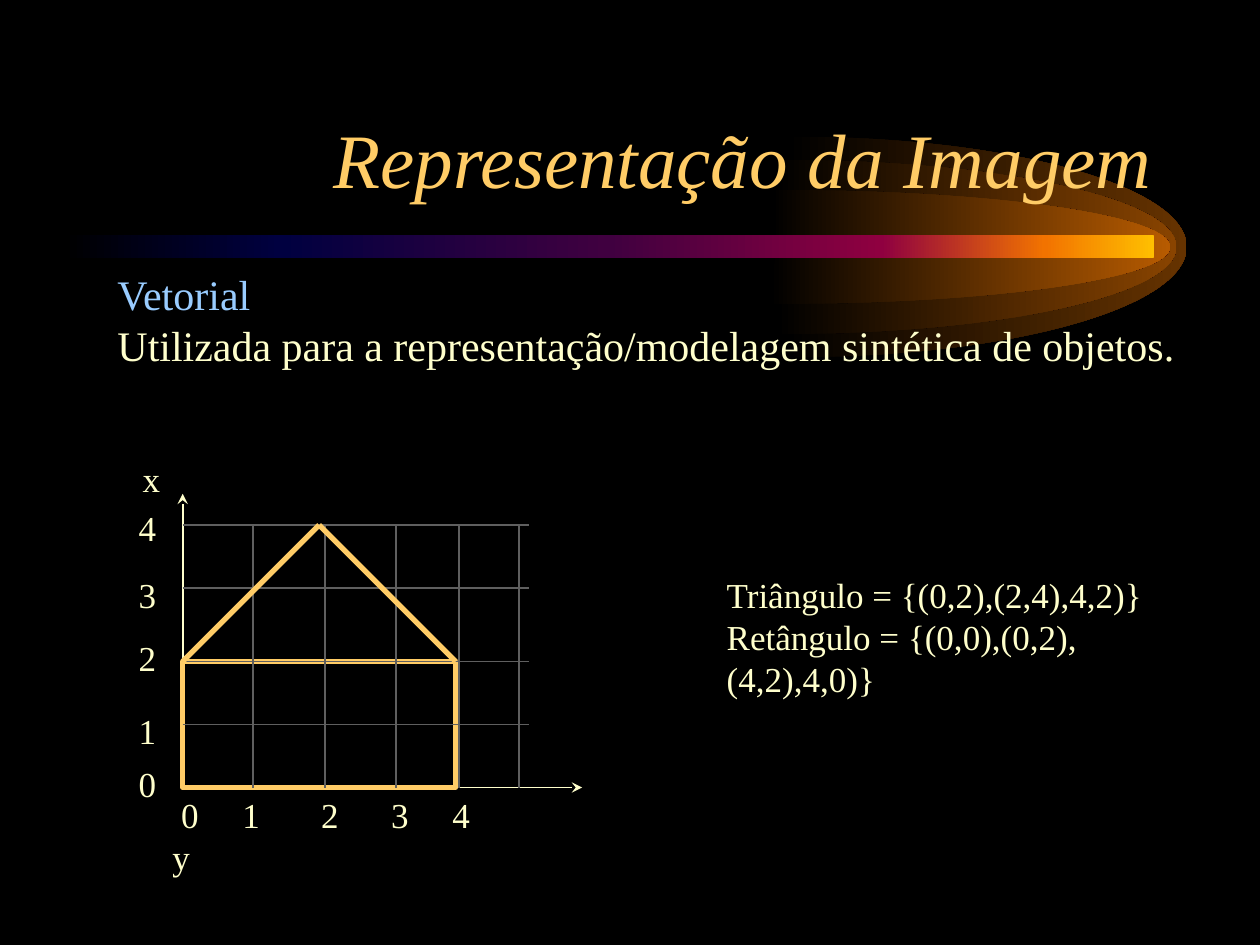
from typing import NamedTuple

from lxml.etree import SubElement
from pptx import Presentation
from pptx.dml.color import RGBColor
from pptx.enum.shapes import MSO_CONNECTOR, MSO_SHAPE
from pptx.enum.text import MSO_ANCHOR, PP_ALIGN
from pptx.oxml.ns import qn
from pptx.util import Pt

FONT = "Times New Roman"
CREAM, GOLD, SKY, GRAY = "FFFFCC", "FFCC66", "99CCFF", "5F5F5F"
AXIS_X, AXIS_Y = 104.4, 450
ROWS = (414, 378, 336, 300)
COLS = (144.6, 185.6, 226.4, 262.4, 296.6)
GRID_RIGHT = 302.4
EAVES, RIDGE = 378, 300
HOUSE_W = 156
KAPPA = 0.55  # control distance of a quarter ellipse


class Flare(NamedTuple):
    cx: float
    ry: float
    color: str


class Label(NamedTuple):
    text: str
    x: float
    y: float


FLARES = (
    Flare(452.9, 63, "663300"),
    Flare(447.1, 49.8, "894400"),
    Flare(443.5, 32.6, "B75B00"),
)
BAR_STOPS = ((0, "000000"), (20, "000040"), (50, "400040"),
             (75, "8F0040"), (90, "F27300"), (100, "FFBF00"))
LABELS = (
    Label("0", 96.4, 450),
    Label("1", 131.4, 450),
    Label("2", 176.4, 450),
    Label("3", 216.4, 450),
    Label("4", 251.4, 450),
    Label("y", 91.4, 474),
    Label("3", 72.2, 324),
    Label("0", 72.2, 432),
    Label("1", 72.2, 402),
    Label("2", 72.2, 360),
    Label("4", 72.2, 286),
    Label("x", 74.5, 258),
)


def rgb(color: str) -> RGBColor:
    return RGBColor.from_string(color)


def fill_gradient(sp, stops) -> None:
    """Fill left to right with (percent, colour) stops, without an outline."""
    sp.shadow.inherit = False
    sp.line.fill.background()
    sp.fill.gradient()
    sp.fill.gradient_angle = 0
    gs_list = sp.element.spPr.find(qn("a:gradFill")).find(qn("a:gsLst"))
    for gs in list(gs_list):
        gs_list.remove(gs)
    for percent, color in stops:
        gs = SubElement(gs_list, qn("a:gs"), pos=str(percent * 1000))
        SubElement(gs, qn("a:srgbClr"), val=color)


def curve_segment(segment, *controls: tuple[float, float]) -> None:
    """Turn a straight freeform segment into a cubic curve."""
    segment.tag = qn("a:cubicBezTo")
    for i, (x, y) in enumerate(controls):
        pt = segment.makeelement(qn("a:pt"), {"x": str(Pt(x)), "y": str(Pt(y))})
        segment.insert(i, pt)


def add_flare(s, flare: Flare) -> None:
    """Draw the right half of an ellipse centred on the bar."""
    cx, ry, color = flare
    cy, rx, tip = 141.1, 225.2, 3.6
    points = [(cx, cy - ry), (cx + rx, cy), (cx, cy + ry), (cx - tip, cy + ry), (cx, cy)]
    corners = [(Pt(x), Pt(y)) for x, y in points]
    fb = s.shapes.build_freeform(*corners[0])
    fb.add_line_segments(corners[1:], close=True)
    sp = fb.convert_to_shape()
    upper, lower = list(sp.element.spPr.iter(qn("a:lnTo")))[:2]
    bend_x, right, bend_y = tip + KAPPA * rx, tip + rx, KAPPA * ry
    curve_segment(upper, (bend_x, 0), (right, ry - bend_y))
    curve_segment(lower, (right, ry + bend_y), (bend_x, 2 * ry))
    fill_gradient(sp, ((0, "000000"), (100, color)))


def add_line(s, x1: float, y1: float, x2: float, y2: float,
             color: str = GRAY, width: float = 1, arrow: bool = False) -> None:
    line = s.shapes.add_connector(MSO_CONNECTOR.STRAIGHT, Pt(x1), Pt(y1), Pt(x2), Pt(y2))
    line.line.color.rgb = rgb(color)
    line.line.width = Pt(width)
    if arrow:
        ln = line.element.spPr.find(qn("a:ln"))
        SubElement(ln, qn("a:tailEnd"), type="stealth")
    SubElement(line.element.spPr, qn("a:effectLst"))


def add_text(s, text: str, x: float, y: float, w: float, h: float, *,
             size: float = 20, colors: tuple[str, ...] = (CREAM,), italic: bool = False,
             align=PP_ALIGN.LEFT, anchor=MSO_ANCHOR.TOP) -> None:
    """Add a text box; each line is a paragraph, and colours cycle over them."""
    tf = s.shapes.add_textbox(Pt(x), Pt(y), Pt(w), Pt(h)).text_frame
    tf.word_wrap = True
    tf.vertical_anchor = anchor
    for i, content in enumerate(text.split("\n")):
        p = tf.add_paragraph() if i else tf.paragraphs[0]
        p.alignment = align
        r = p.add_run()
        r.text = content
        r.font.name = FONT
        r.font.size = Pt(size)
        r.font.italic = italic
        r.font.color.rgb = rgb(colors[i % len(colors)])


def add_background(s) -> None:
    s.background.fill.solid()
    s.background.fill.fore_color.rgb = rgb("000000")
    for flare in FLARES:
        add_flare(s, flare)
    bar = s.shapes.add_shape(MSO_SHAPE.ROUNDED_RECTANGLE, Pt(36), Pt(134.4), Pt(623.5), Pt(13))
    bar.adjustments[0] = 0.11
    fill_gradient(bar, BAR_STOPS)


def add_house_plot(s) -> None:
    add_line(s, AXIS_X, AXIS_Y, 332.6, AXIS_Y, CREAM, arrow=True)
    add_line(s, AXIS_X, AXIS_Y, AXIS_X, 282.2, CREAM, arrow=True)

    walls = s.shapes.add_shape(MSO_SHAPE.RECTANGLE, Pt(AXIS_X), Pt(EAVES),
                               Pt(HOUSE_W), Pt(AXIS_Y - EAVES))
    walls.shadow.inherit = False
    walls.fill.background()
    walls.line.color.rgb = rgb(GOLD)
    walls.line.width = Pt(3)

    for y in ROWS:
        add_line(s, AXIS_X, y, GRID_RIGHT, y)
    for x in COLS:
        add_line(s, x, RIDGE, x, AXIS_Y)

    middle = AXIS_X + HOUSE_W / 2
    add_line(s, AXIS_X, EAVES, middle, RIDGE, GOLD, 3)
    add_line(s, middle, RIDGE, AXIS_X + HOUSE_W, EAVES, GOLD, 3)

    for label in LABELS:
        add_text(s, label.text, label.x, label.y, 24.5, 31)


def main() -> None:
    prs = Presentation()
    prs.slide_width, prs.slide_height = Pt(720), Pt(540)
    s = prs.slides.add_slide(prs.slide_layouts[6])
    add_background(s)
    add_text(s, "Representação da Imagem", 53.7, 30, 612, 90, size=44, colors=(GOLD,),
             italic=True, align=PP_ALIGN.RIGHT, anchor=MSO_ANCHOR.BOTTOM)
    add_text(s, "Vetorial\nUtilizada para a representação/modelagem sintética de objetos.",
             60, 150, 636, 65, size=24, colors=(SKY, CREAM), align=PP_ALIGN.JUSTIFY)
    add_text(s, "Triângulo = {(0,2),(2,4),4,2)}\nRetângulo = {(0,0),(0,2),(4,2),4,0)}",
             408.2, 324, 298, 55.5)
    add_house_plot(s)
    prs.save("out.pptx")


if __name__ == "__main__":
    main()
